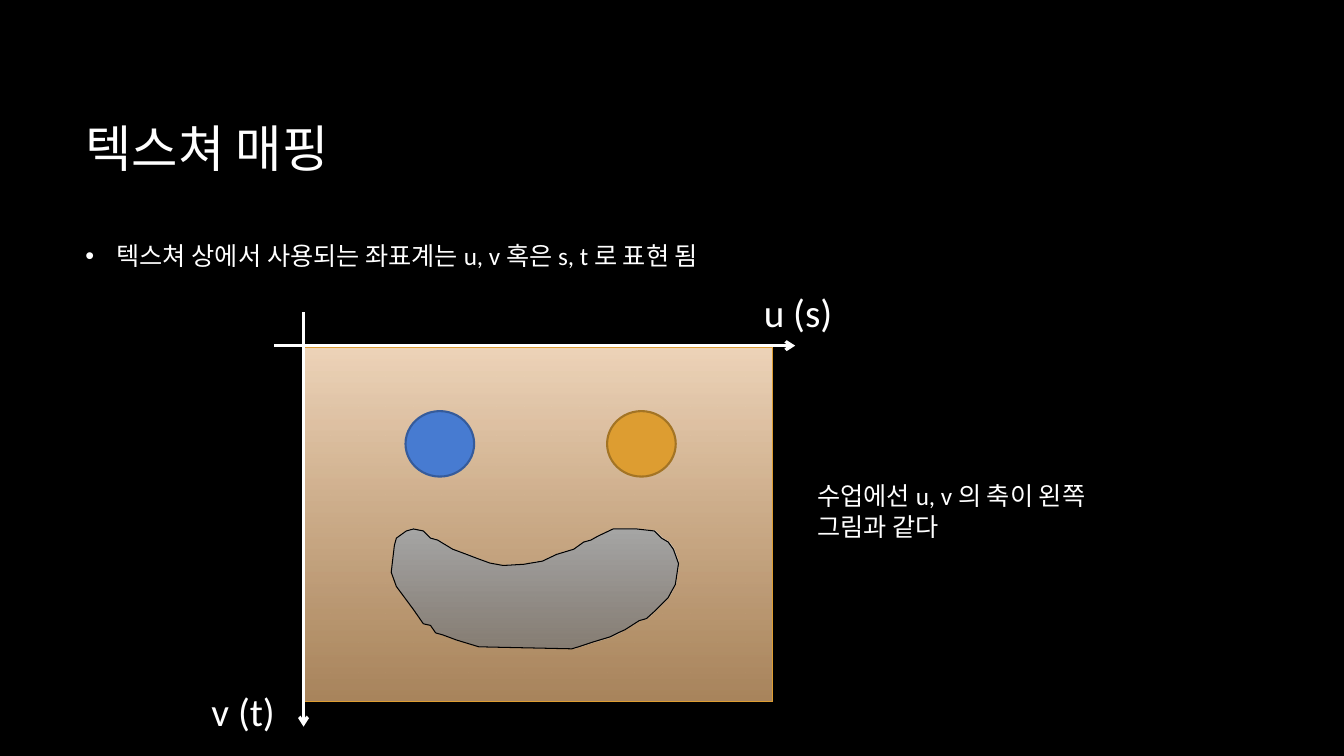
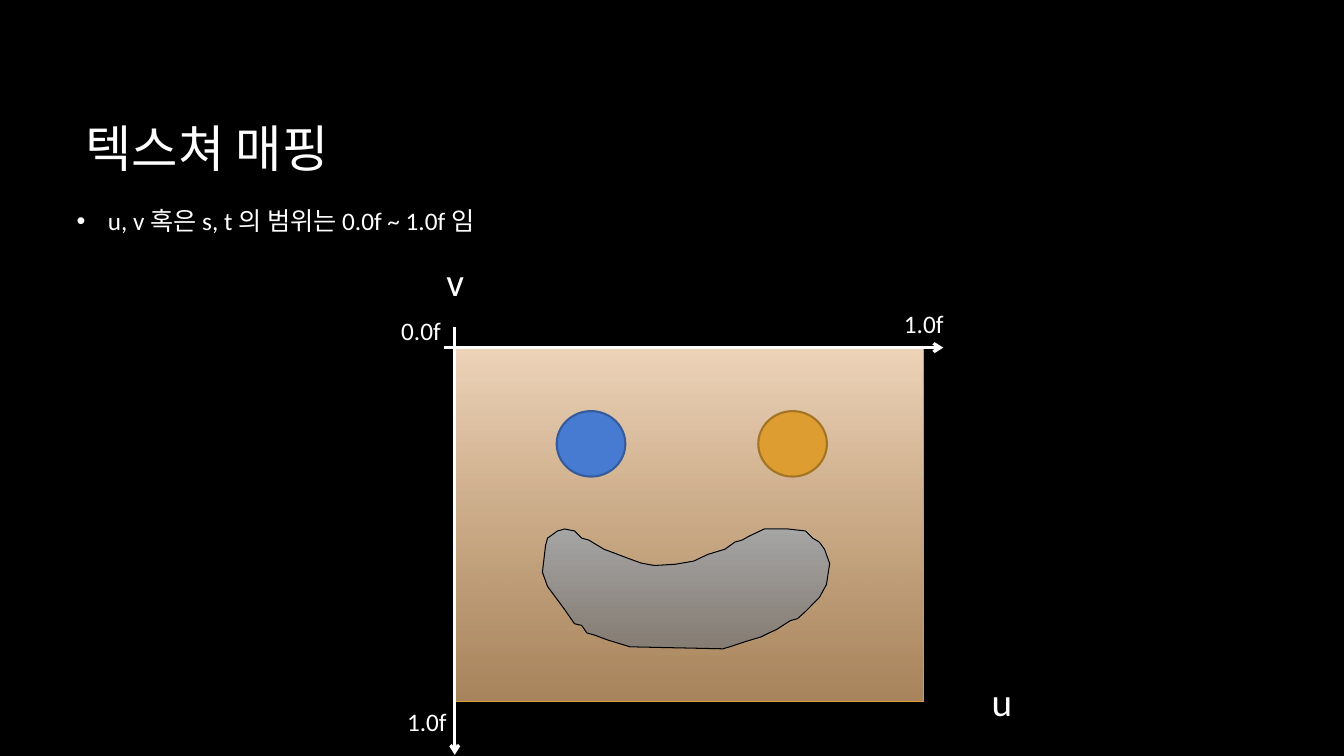
from dataclasses import dataclass

from lxml import etree
from pptx import Presentation
from pptx.dml.color import RGBColor
from pptx.enum.shapes import MSO_CONNECTOR, MSO_SHAPE
from pptx.enum.text import MSO_ANCHOR, PP_ALIGN
from pptx.oxml.ns import qn
from pptx.util import Cm, Pt

STRAIGHT = MSO_CONNECTOR.STRAIGHT
RECTANGLE, OVAL = MSO_SHAPE.RECTANGLE, MSO_SHAPE.OVAL
MIDDLE, LEFT = MSO_ANCHOR.MIDDLE, PP_ALIGN.LEFT


@dataclass(frozen=True)
class Theme:
    font: str = "Calibri"
    title_size: int = 36
    axis_size: int = 28
    body_size: int = 18
    background: str = "000000"
    text: str = "FFFFFF"
    skin: tuple = ("EFD5BA", "E4B47E")
    skin_line: str = "DD9D31"
    mouth: tuple = ("A6A6A6", "797979")
    mouth_line: str = "000000"
    blue_eye: tuple = ("477BD1", "355B9B")
    orange_eye: tuple = ("DD9D31", "A37424")
    end_opacity: str = "74000"


theme = Theme()

# Face geometry in cm; eyes and mouth are measured from its top left corner
FACE_TOP, FACE_WIDTH, FACE_HEIGHT = 8.76, 11.81, 8.92
EYE_TOP, EYE_WIDTH, EYE_HEIGHT = 1.6, 1.73, 1.65
EYES = [(2.57, theme.blue_eye), (7.65, theme.orange_eye)]
MOUTH = [
    (2.77, 6.6), (2.34, 6.02), (2.21, 5.66), (2.29, 4.98), (2.34, 4.8),
    (2.59, 4.62), (2.77, 4.57), (3.02, 4.62), (3.2, 4.8), (3.38, 4.85),
    (3.76, 5.08), (4.11, 5.21), (4.37, 5.31), (4.7, 5.43), (5.03, 5.49),
    (5.55, 5.46), (6.02, 5.38), (6.38, 5.21), (6.81, 5.08), (7.06, 4.9),
    (7.24, 4.85), (7.42, 4.75), (7.8, 4.57), (8.4, 4.57), (8.84, 4.62),
    (9.02, 4.8), (9.19, 4.9), (9.32, 5.08), (9.45, 5.44), (9.37, 5.97),
    (9.27, 6.15), (9.19, 6.3), (8.84, 6.65), (8.64, 6.83), (8.46, 6.88),
    (8.1, 7.11), (7.92, 7.19), (7.72, 7.29), (7.29, 7.42), (6.93, 7.54),
    (6.76, 7.59), (4.42, 7.54), (3.86, 7.37), (3.51, 7.24), (3.33, 7.19),
    (3.2, 7.0), (3.02, 6.96),
]

# Slide contents: boxes are left, top, width, height; axes are x1, y1, x2, y2
SLIDES = [
    {
        "bullet": ("텍스쳐 상에서 사용되는 좌표계는 u, v 혹은 s, t 로 표현 됨",
                   (1.9, 5.94, 28.14, 1.78)),
        "face_left": 7.65,
        "axes": [(6.91, 8.71, 20.04, 8.71), (7.65, 7.87, 7.65, 18.31)],
        "labels": [
            ("u (s)", theme.axis_size, True, (19, 7.14, 2.69, 1.45)),
            ("v (t)", theme.axis_size, True, (5.08, 17.2, 2.21, 1.45)),
            ("수업에선 u, v 의 축이 왼쪽 그림과 같다", theme.body_size, True,
             (20.35, 11.99, 7.8, 1.8)),
        ],
    },
    {
        "bullet": ("u, v 혹은 s, t 의 범위는 0.0f ~ 1.0f 임",
                   (1.68, 5.05, 28.14, 1.37)),
        "face_left": 11.46,
        "axes": [(11.18, 8.76, 23.77, 8.76), (11.46, 8.25, 11.46, 19.02)],
        "labels": [
            ("u", theme.axis_size, True, (24.74, 16.94, 0.99, 1.45)),
            ("v", theme.axis_size, True, (11, 6.35, 0.99, 1.45)),
            ("0.0f", theme.body_size, False, (9.86, 7.82, 1.57, 1.02)),
            ("1.0f", theme.body_size, False, (10.01, 17.68, 1.57, 1.02)),
            ("1.0f", theme.body_size, False, (22.53, 7.65, 1.57, 1.02)),
        ],
    },
]


def write(shape, text, size):
    """Put one styled paragraph into a shape and return the paragraph."""
    shape.text_frame.text = text
    paragraph = shape.text_frame.paragraphs[0]
    paragraph.alignment = LEFT
    font = paragraph.runs[0].font
    font.name, font.size = theme.font, Pt(size)
    font.color.rgb = RGBColor.from_string(theme.text)
    return paragraph


def paint(shape, fill, line, line_width):
    """Fill with a colour, or a downward gradient for a pair of colours."""
    shape.shadow.inherit = False
    if isinstance(fill, str):
        shape.fill.solid()
        shape.fill.fore_color.rgb = RGBColor.from_string(fill)
    else:
        shape.fill.gradient()
        shape.fill.gradient_angle = 270
        for stop, colour in zip(shape.fill.gradient_stops, fill):
            stop.color.rgb = RGBColor.from_string(colour)
        end_colour = list(shape._element.iter(qn("a:srgbClr")))[-1]
        etree.SubElement(end_colour, qn("a:alpha"), val=theme.end_opacity)
    shape.line.color.rgb = RGBColor.from_string(line)
    shape.line.width = Pt(line_width)


presentation = Presentation()
presentation.slide_width, presentation.slide_height = Cm(33.87), Cm(19.05)
background = presentation.slide_master.background.fill
background.solid()
background.fore_color.rgb = RGBColor.from_string(theme.background)
title_only = presentation.slide_layouts[5]

for content in SLIDES:
    slide = presentation.slides.add_slide(title_only)

    # Title
    title = slide.shapes.title
    title.left, title.top = Cm(1.9), Cm(1.7)
    title.width, title.height = Cm(28.14), Cm(4.04)
    title.text_frame.vertical_anchor = MIDDLE
    write(title, "텍스쳐 매핑", theme.title_size)

    # Bullet line
    text, box = content["bullet"]
    bullet_box = slide.shapes.add_textbox(*map(Cm, box))
    bullet_box.text_frame.word_wrap = True
    paragraph = write(bullet_box, text, theme.body_size)
    paragraph.space_after = Pt(10)
    properties = paragraph._p.get_or_add_pPr()
    properties.set("marL", str(Cm(0.79)))
    properties.set("indent", str(-Cm(0.79)))
    etree.SubElement(properties, qn("a:buFont"), typeface="Arial")
    etree.SubElement(properties, qn("a:buChar"), char="•")

    # Face texture
    face_left = content["face_left"]
    face = slide.shapes.add_group_shape()
    skin = face.shapes.add_shape(RECTANGLE, Cm(face_left), Cm(FACE_TOP),
                                 Cm(FACE_WIDTH), Cm(FACE_HEIGHT))
    paint(skin, theme.skin, theme.skin_line, 0.75)
    for eye_left, (fill, line) in EYES:
        eye = face.shapes.add_shape(OVAL, Cm(face_left + eye_left),
                                    Cm(FACE_TOP + EYE_TOP),
                                    Cm(EYE_WIDTH), Cm(EYE_HEIGHT))
        paint(eye, fill, line, 1.5)
    outline = [(Cm(face_left + x), Cm(FACE_TOP + y)) for x, y in MOUTH]
    builder = face.shapes.build_freeform(*outline[0])
    builder.add_line_segments(outline[1:], close=True)
    paint(builder.convert_to_shape(), theme.mouth, theme.mouth_line, 0.75)

    # Axes
    for ends in content["axes"]:
        axis = slide.shapes.add_connector(STRAIGHT, *map(Cm, ends))
        axis.line.color.rgb = RGBColor.from_string(theme.text)
        axis.line.width = Pt(2.25)
        etree.SubElement(axis.line._get_or_add_ln(), qn("a:tailEnd"), type="arrow")
        etree.SubElement(axis._element.spPr, qn("a:effectLst"))

    # Axis labels and remarks
    for text, size, wraps, box in content["labels"]:
        label = slide.shapes.add_textbox(*map(Cm, box))
        label.text_frame.word_wrap = wraps
        write(label, text, size)

presentation.save("out.pptx")
